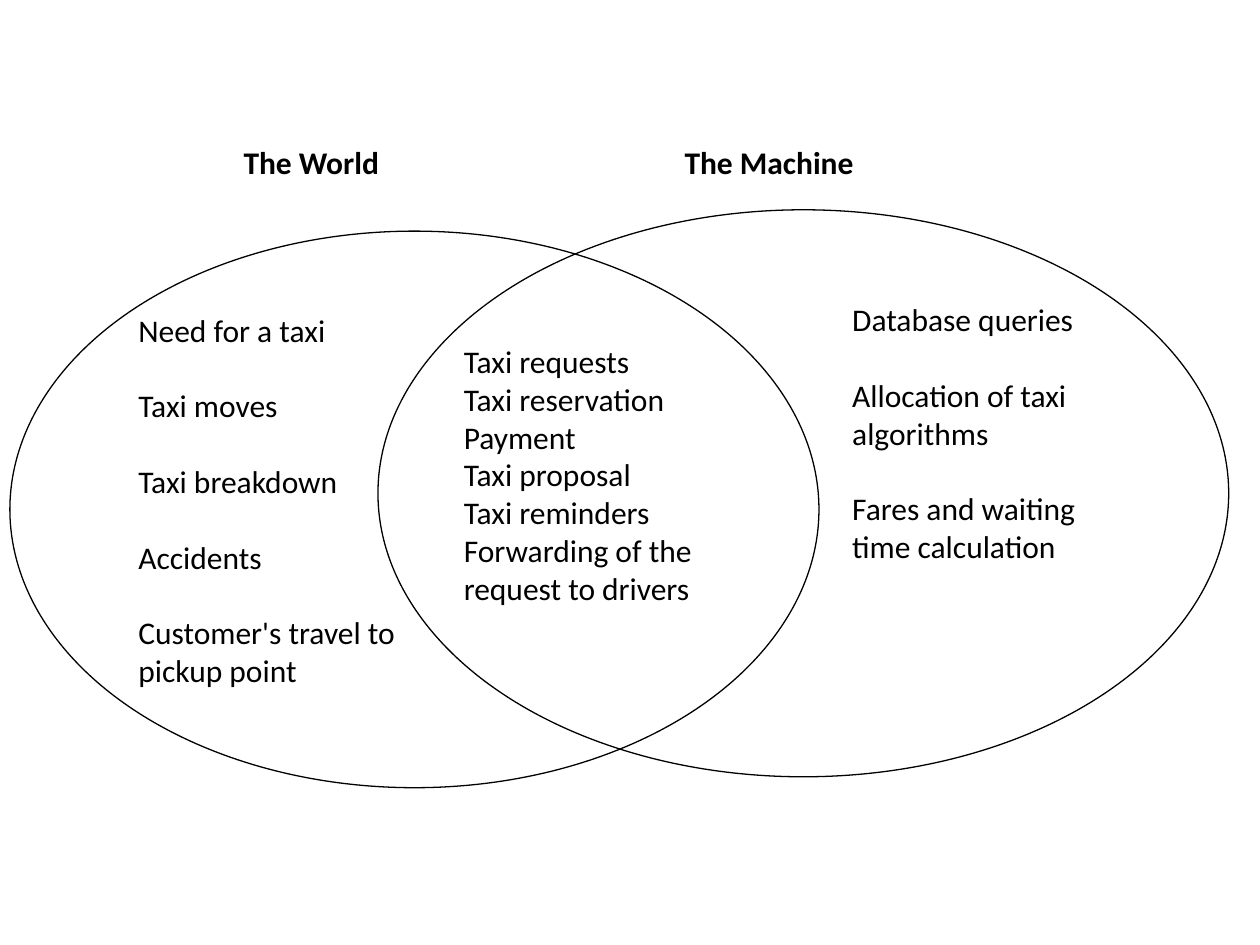
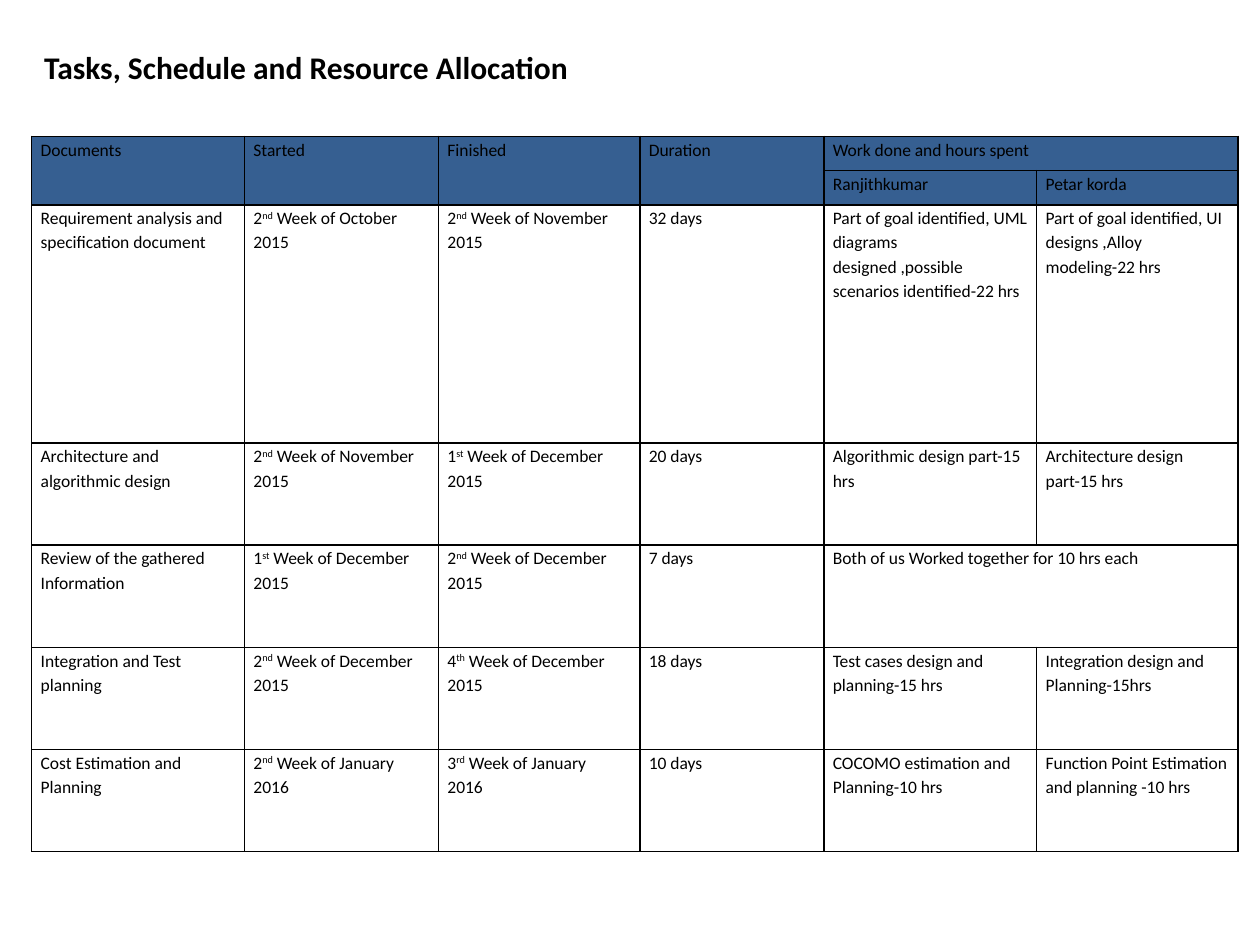
import lxml.etree
import pptx
import pptx.dml.color
import pptx.enum.shapes
import pptx.oxml.ns
import pptx.util

Cm = pptx.util.Cm
Pt = pptx.util.Pt

COLOURS = {"ink": "000000", "paper": "FFFFFF", "header": "365F91"}
BODY = {"name": "Calibri", "size": Pt(18)}
HEADING = {**BODY, "bold": True}
TABLE_TEXT = {**BODY, "size": Pt(10)}
CELL_MARGINS = {"margin_left": Cm(0.18), "margin_right": Cm(0.18),
                "margin_top": 0, "margin_bottom": 0}
# A wider right margin sends the year to the second line
DATE_MARGINS = {"margin_right": Cm(0.38)}
ITEM_GAP = Pt(21.6)

COLUMN_WIDTHS = [4.29, 3.91, 4.06, 3.71, 4.29, 4.06]
ROW_HEIGHTS = [0.69, 0.69, 4.8] + [2.06] * 4
HEADERS = ["Documents", "Started", "Finished", "Duration",
           "Work done and hours spent"]
MEMBERS = ["Ranjithkumar", "Petar korda"]
# Dates are (day, ordinal suffix, rest); a task with one work entry is shared
TASKS = [
    ["Requirement analysis and specification document",
     ("2", "nd", " Week of October 2015"), ("2", "nd", " Week of November 2015"),
     "32 days",
     "Part of goal identified, UML diagrams designed ,possible scenarios identified-22 hrs",
     "Part of goal identified, UI designs ,Alloy modeling-22 hrs"],
    ["Architecture and algorithmic design",
     ("2", "nd", " Week of November 2015"), ("1", "st", " Week of December 2015"),
     "20 days", "Algorithmic design part-15 hrs", "Architecture design part-15 hrs"],
    ["Review of the gathered Information",
     ("1", "st", " Week of December 2015"), ("2", "nd", " Week of December 2015"),
     "7 days", "Both of us Worked together for 10 hrs each"],
    ["Integration and Test planning",
     ("2", "nd", " Week of December 2015"), ("4", "th", " Week of December 2015"),
     "18 days", "Test cases design and planning-15 hrs",
     "Integration design and Planning-15hrs"],
    ["Cost Estimation and Planning",
     ("2", "nd", " Week of January 2016"), ("3", "rd", " Week of January 2016"),
     "10 days", "COCOMO estimation and Planning-10 hrs",
     "Function Point Estimation and planning -10 hrs"],
]


def rgb(colour):
    return pptx.dml.color.RGBColor.from_string(COLOURS[colour])


def apply_format(target, values):
    for attribute, value in values.items():
        setattr(target, attribute, value)


def style_runs(paragraph, font_values):
    for run in paragraph.runs:
        apply_format(run.font, font_values)
        run.font.color.rgb = rgb("ink")


def add_text(slide, box, items, font_values=BODY, gap=0):
    """Put one paragraph per item in a text box, with a gap between them."""
    frame = slide.shapes.add_textbox(*map(Cm, box)).text_frame
    frame.word_wrap = True
    for index, item in enumerate(items):
        paragraph = frame.add_paragraph() if index else frame.paragraphs[0]
        paragraph.text = item
        if index:
            paragraph.space_before = gap
        style_runs(paragraph, font_values)


def add_domain(slide, box):
    """Draw one outlined ellipse of the Venn diagram."""
    domain = slide.shapes.add_shape(
        pptx.enum.shapes.MSO_SHAPE.OVAL, *map(Cm, box))
    domain.shadow.inherit = False
    domain.fill.background()
    domain.line.color.rgb = rgb("ink")
    domain.line.width = Pt(0.75)


def add_borders(cell):
    properties = cell._tc.get_or_add_tcPr()
    qn = pptx.oxml.ns.qn
    for side in ("lnL", "lnR", "lnT", "lnB"):
        border = lxml.etree.SubElement(properties, qn(f"a:{side}"), w=str(Pt(1)))
        fill = lxml.etree.SubElement(border, qn("a:solidFill"))
        lxml.etree.SubElement(fill, qn("a:srgbClr"), val=COLOURS["ink"])


def fill_cell(cell, content):
    """Write plain text, or a date whose second part is raised."""
    paragraph = cell.text_frame.paragraphs[0]
    paragraph.line_spacing = 1.15
    is_date = isinstance(content, tuple)
    for part in content if is_date else [content]:
        paragraph.add_run().text = part
    style_runs(paragraph, TABLE_TEXT)
    if is_date:
        apply_format(cell, DATE_MARGINS)
        paragraph.runs[1]._r.get_or_add_rPr().set("baseline", "30000")


def add_schedule(slide, left, top):
    table = slide.shapes.add_table(
        len(ROW_HEIGHTS), len(COLUMN_WIDTHS), Cm(left), Cm(top),
        Cm(sum(COLUMN_WIDTHS)), Cm(sum(ROW_HEIGHTS))).table
    apply_format(table, {"first_row": False, "horz_banding": False})
    for column, width in zip(table.columns, COLUMN_WIDTHS):
        column.width = Cm(width)
    for row, height in zip(table.rows, ROW_HEIGHTS):
        row.height = Cm(height)

    # Cell frames and fills
    for row_index, row in enumerate(table.rows):
        for cell in row.cells:
            apply_format(cell, CELL_MARGINS)
            add_borders(cell)
            cell.fill.solid()
            cell.fill.fore_color.rgb = rgb("header" if row_index < 2 else "paper")

    # Two header rows
    for column in range(4):
        table.cell(0, column).merge(table.cell(1, column))
    table.cell(0, 4).merge(table.cell(0, 5))
    for column, header in enumerate(HEADERS):
        fill_cell(table.cell(0, column), header)
    for column, member in enumerate(MEMBERS, start=4):
        fill_cell(table.cell(1, column), member)

    # One row per task
    for row, task in enumerate(TASKS, start=2):
        if len(task) < len(COLUMN_WIDTHS):
            table.cell(row, 4).merge(table.cell(row, 5))
        for column, content in enumerate(task):
            fill_cell(table.cell(row, column), content)


def build_world_and_machine(slide):
    # Overlapping domains
    add_domain(slide, (7.62, 4.23, 17.15, 11.43))
    add_domain(slide, (0.2, 4.66, 16.31, 11.22))

    # Phenomena of the world, shared, and of the machine
    add_text(slide, (2.54, 6.14, 7.41, 8.72),
             ["Need for a taxi", "Taxi moves", "Taxi breakdown", "Accidents",
              "Customer's travel to\vpickup point"], gap=ITEM_GAP)
    add_text(slide, (9.1, 6.77, 6.35, 6.4),
             ["Taxi requests", "Taxi reservation", "Payment", "Taxi proposal",
              "Taxi reminders", "Forwarding of the request to drivers"])
    add_text(slide, (16.93, 5.93, 5.72, 6.4),
             ["Database queries", "Allocation of taxi algorithms",
              "Fares and waiting time calculation"], gap=ITEM_GAP)

    # Domain names
    add_text(slide, (4.66, 2.75, 7.62, 1.8), ["The World"], HEADING)
    add_text(slide, (13.55, 2.75, 8.26, 1.03), ["The Machine"], HEADING)


def build_schedule(slide):
    add_schedule(slide, 0.64, 2.75)
    add_text(slide, (0.64, 0.85, 20.96, 1.03),
             ["Tasks, Schedule and Resource Allocation"], HEADING)


def main():
    deck = pptx.Presentation()
    apply_format(deck, {"slide_width": Cm(25.4), "slide_height": Cm(19.05)})
    for build in (build_world_and_machine, build_schedule):
        build(deck.slides.add_slide(deck.slide_layouts[6]))
    deck.save("out.pptx")


if __name__ == "__main__":
    main()
